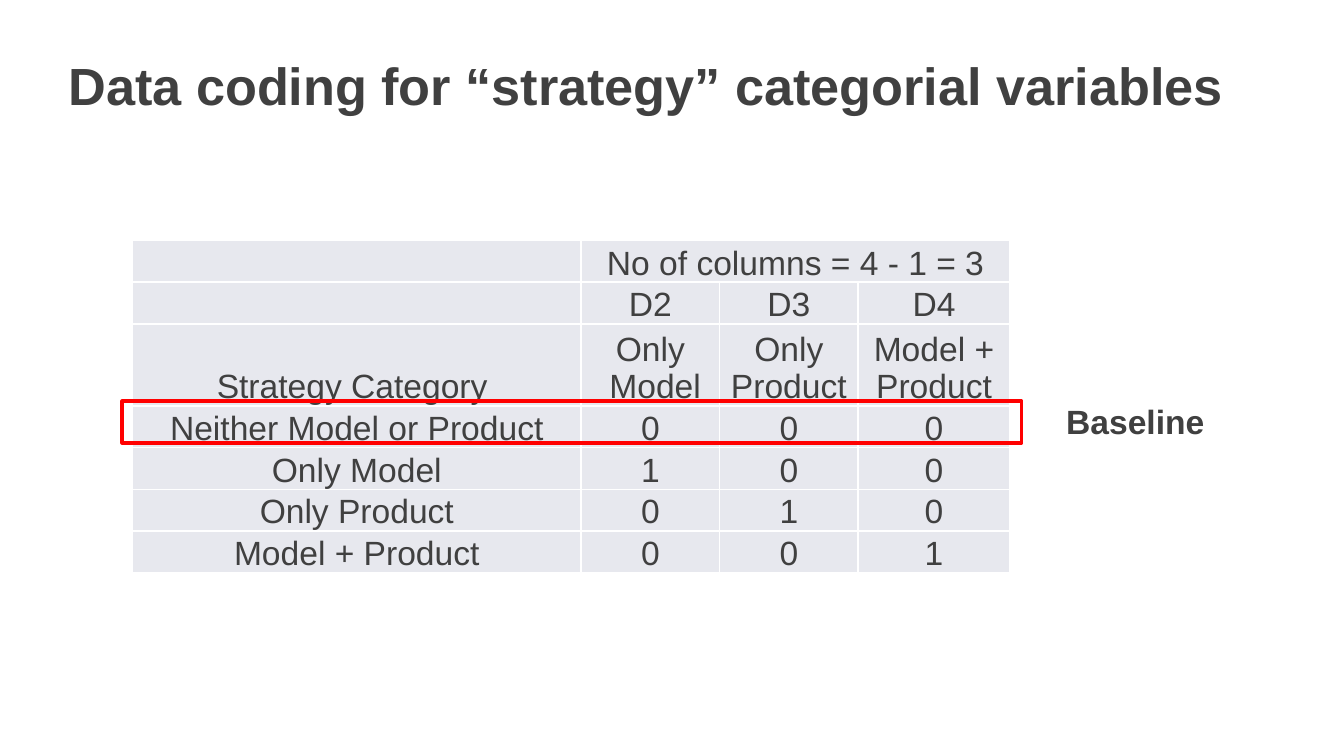
"""Build a slide on dummy coding of the strategy categories."""
from copy import deepcopy
from dataclasses import dataclass

from lxml import etree
from pptx import Presentation
from pptx import util as u
from pptx.dml.color import RGBColor
from pptx.enum import shapes, text
from pptx.oxml import ns

PX = 2286
FONT = "Arial"
GRAY = RGBColor(0x40, 0x40, 0x40)
PALE = RGBColor(0xE7, 0xE8, 0xEE)
RED = RGBColor(0xFF, 0x00, 0x00)

COLS = (1336, 412, 412, 452)
ROWS = (124, 124, 229, 119, 119, 119, 119)
CELLS = (
    ("", "No of columns = 4 - 1 = 3", "", ""),
    ("", "D2", "D3", "D4"),
    ("Strategy Category ", "Only\n Model", "Only Product", "Model + Product"),
    ("Neither Model or Product", "0", "0", "0"),
    ("Only Model", "1", "0", "0"),
    ("Only Product", "0", "1", "0"),
    ("Model + Product", "0", "0", "1"),
)


@dataclass(frozen=True)
class Box:
    left: int
    top: int
    width: int
    height: int

    def emu(self) -> tuple[int, ...]:
        return tuple(n * PX for n in (self.left, self.top, self.width, self.height))


@dataclass(frozen=True)
class Label:
    words: str
    box: Box
    size: int
    pad: tuple[int, int]
    wrap: bool


LABELS = (
    Label("Data coding for “strategy” categorial variables", Box(204, 160, 3600, 188), 28, (0, 0), True),
    Label("Baseline", Box(3134, 1174, 496, 160), 18, (40, 20), False),
)


def style(font, size: int, bold: bool = False) -> None:
    font.name = FONT
    font.size = u.Pt(size)
    font.bold = bold
    font.color.rgb = GRAY


def end_mark(para) -> None:
    mark = etree.SubElement(para._p, ns.qn("a:endParaRPr"))
    props = para.runs[-1].font._element
    mark.attrib.update(props.attrib)
    mark.extend(deepcopy(list(props)))


def draw_label(slide, label: Label) -> None:
    frame = slide.shapes.add_textbox(*label.box.emu()).text_frame
    frame.word_wrap = label.wrap
    frame.margin_left = frame.margin_right = label.pad[0] * PX
    frame.margin_top = frame.margin_bottom = label.pad[1] * PX
    frame.text = label.words
    style(frame.paragraphs[0].runs[0].font, label.size, True)


def draw_cell(cell, words: str) -> None:
    cell.fill.solid()
    cell.fill.fore_color.rgb = PALE
    cell.margin_left = cell.margin_right = cell.margin_top = 4 * PX
    cell.margin_bottom = 0
    cell.vertical_anchor = text.MSO_ANCHOR.BOTTOM
    if not words:
        return
    cell.text_frame.text = words
    for para in cell.text_frame.paragraphs:
        para.alignment = text.PP_ALIGN.CENTER
        style(para.runs[0].font, 18)
        end_mark(para)


def draw_table(slide, left: int, top: int) -> None:
    box = Box(left, top, sum(COLS), sum(ROWS))
    table = slide.shapes.add_table(len(ROWS), len(COLS), *box.emu()).table
    table.first_row = table.horz_banding = False
    for col, width in zip(table.columns, COLS):
        col.width = width * PX
    for row, height, line in zip(table.rows, ROWS, CELLS):
        row.height = height * PX
        for cell, words in zip(row.cells, line):
            draw_cell(cell, words)
    table.cell(0, 1).merge(table.cell(0, 3))


def draw_frame(slide, box: Box) -> None:
    frame = slide.shapes.add_shape(shapes.MSO_SHAPE.RECTANGLE, *box.emu())
    frame.shadow.inherit = False
    frame.fill.background()
    frame.line.color.rgb = RED
    frame.line.width = u.Pt(2)


def main() -> None:
    deck = Presentation()
    deck.slide_width, deck.slide_height = 4000 * PX, 2250 * PX
    slide = deck.slides.add_slide(deck.slide_layouts[6])
    title, base = LABELS
    draw_label(slide, title)
    draw_table(slide, 394, 716)
    draw_frame(slide, Box(364, 1194, 2676, 124))
    draw_label(slide, base)
    deck.save("out.pptx")


if __name__ == "__main__":
    main()
